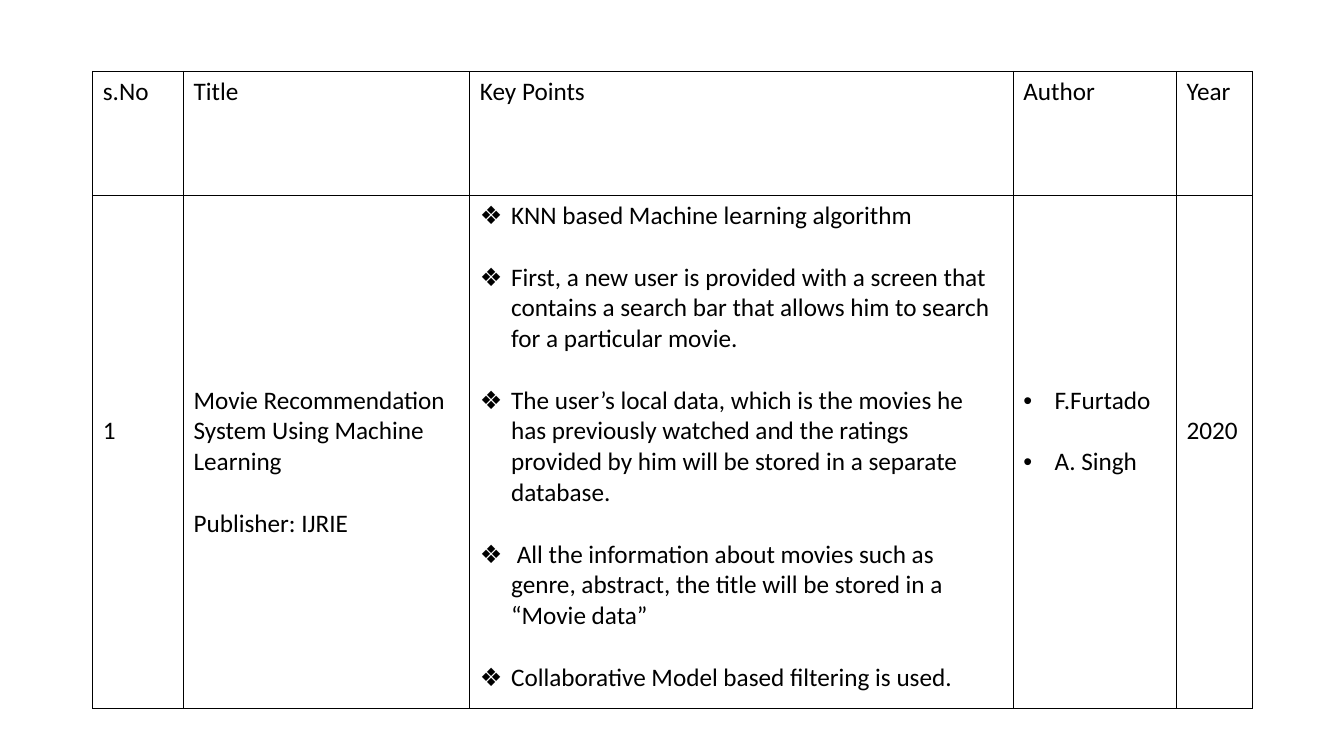
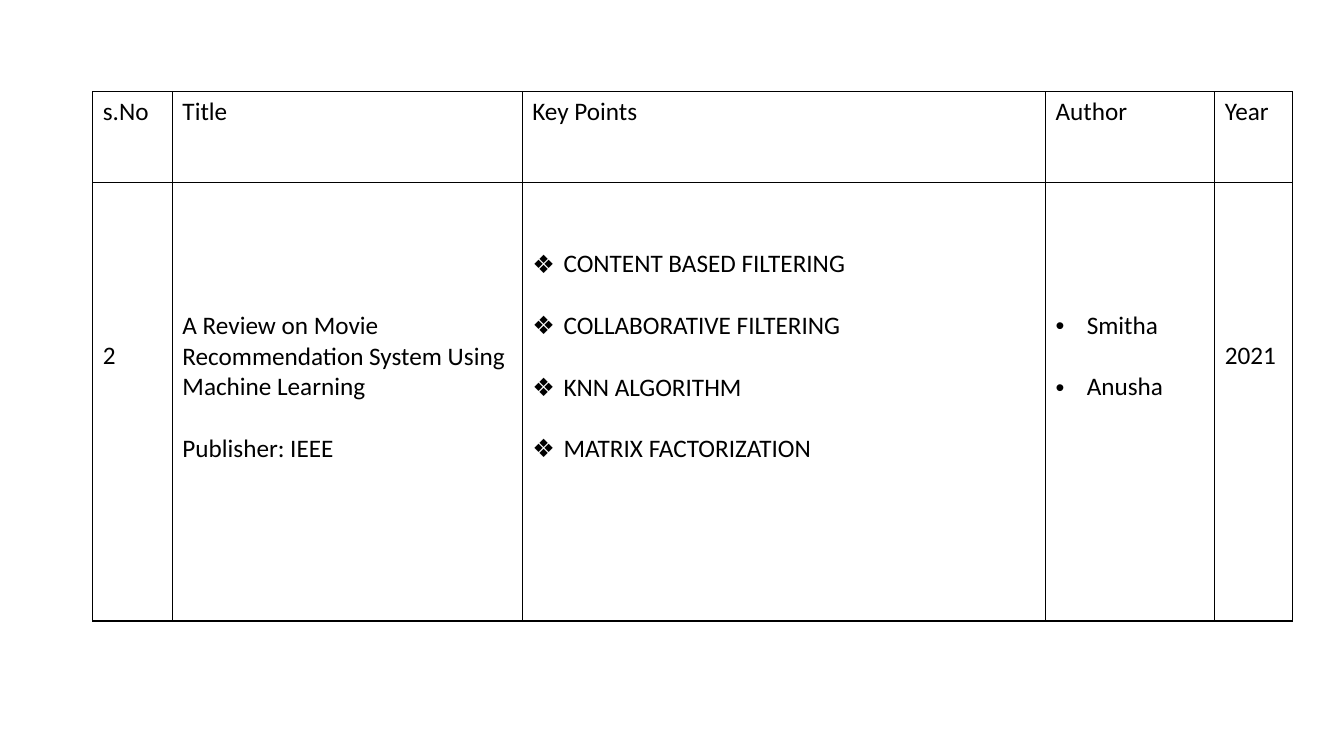
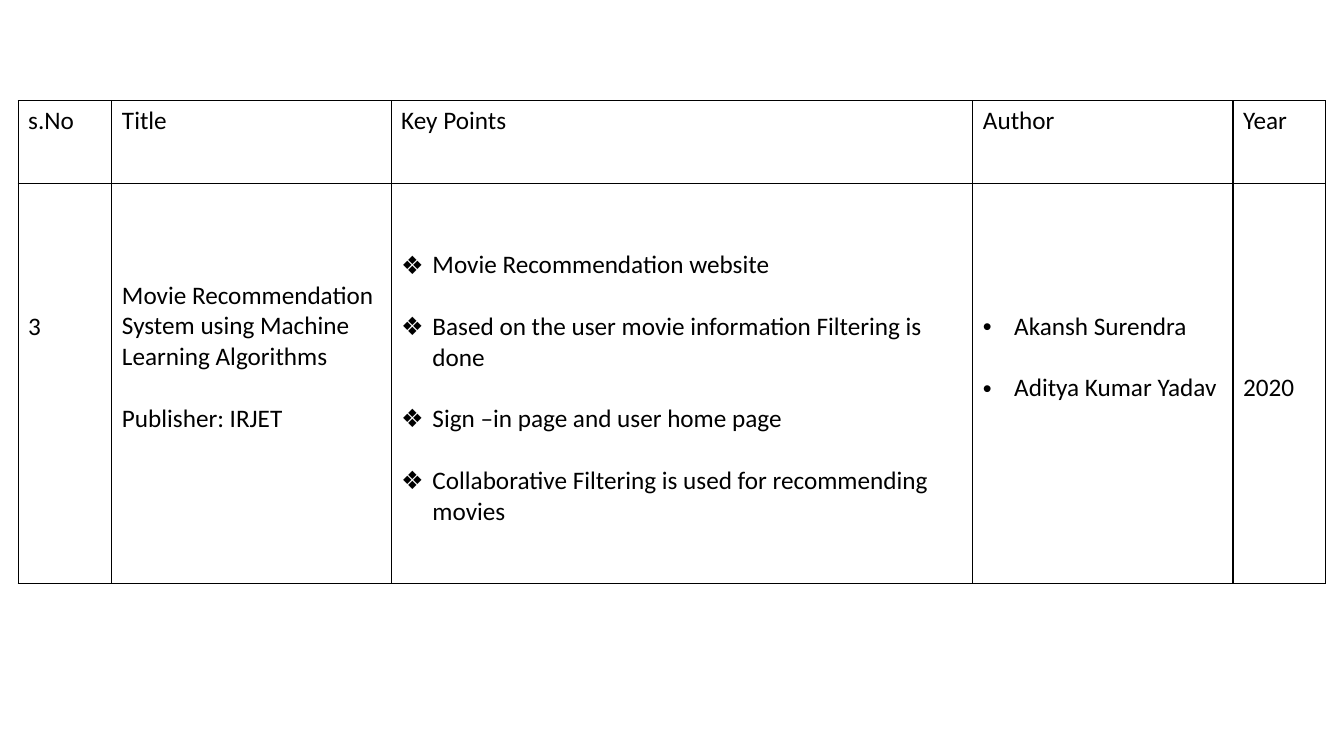
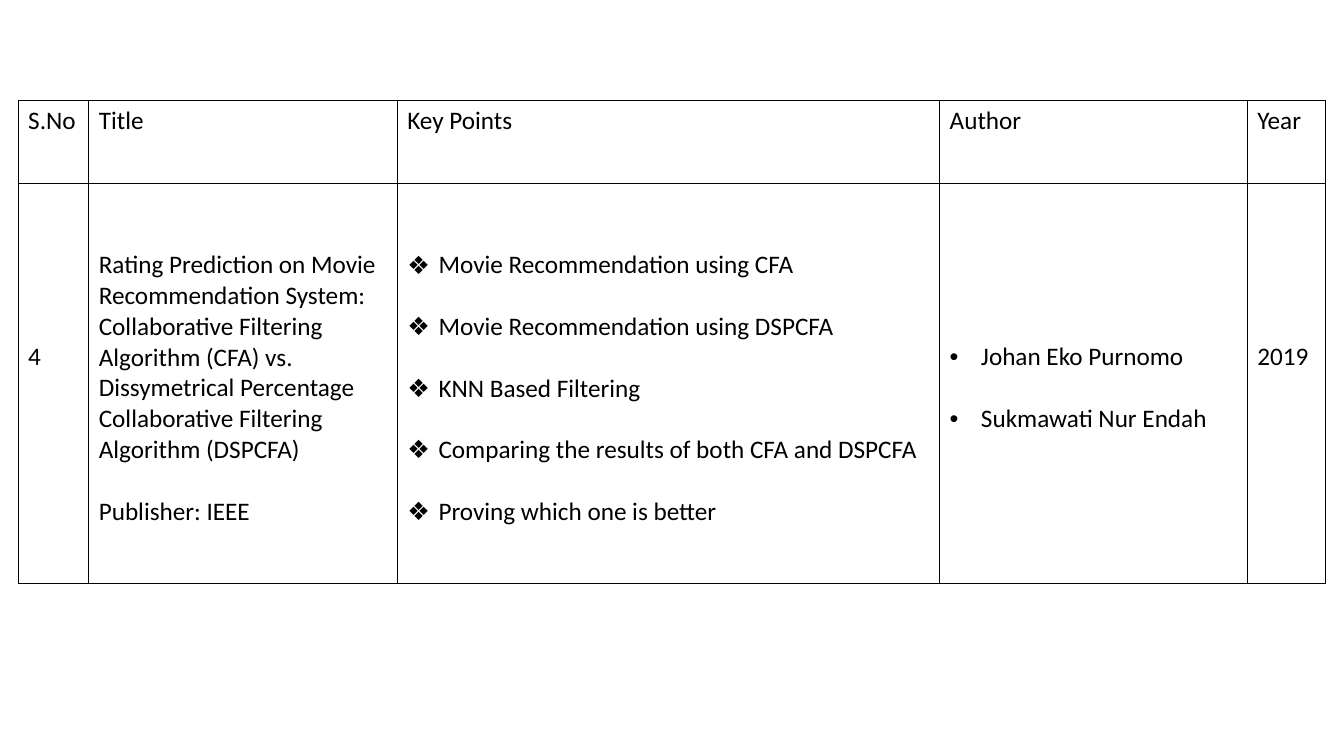
from lxml.etree import SubElement
from pptx import Presentation
from pptx.dml.color import RGBColor
from pptx.oxml.ns import qn
from pptx.util import Pt

PX = 9144
BLACK = RGBColor(0, 0, 0)
FONT = "Calibri"
SIZE = Pt(18)
LINE = Pt(22)
INDENT = 31
MARKS = ["", "", "❖", "•", ""]
HEADS = ["Title", "Key Points", "Author", "Year"]

PAPERS = [
    {
        "at": (92, 71), "cols": [90, 284, 539, 162, 75], "rows": [123, 509],
        "head": "s.No", "skip": [7, 6, 0, 6, 7],
        "cells": [
            ["1"],
            ["Movie Recommendation System Using Machine Learning",
             "Publisher: IJRIE"],
            ["KNN based Machine learning algorithm",
             "First, a new user is provided with a screen that contains a "
             "search bar that allows him to search for a particular movie.",
             "The user’s local data, which is the movies he has previously "
             "watched and the ratings provided by him will be stored in a "
             "separate database.",
             " All the information about movies such as genre, abstract, "
             "the title will be stored in a “Movie data”",
             "Collaborative Model based filtering is used."],
            ["F.Furtado", "A. Singh"],
            ["2020"],
        ],
    },
    {
        "at": (92, 91), "cols": [79, 347, 519, 168, 77], "rows": [90, 435],
        "head": "s.No", "skip": [5, 4, 2, 4, 5],
        "cells": [
            ["2"],
            ["A Review on Movie Recommendation System Using Machine Learning",
             "Publisher: IEEE"],
            ["CONTENT BASED FILTERING", "COLLABORATIVE FILTERING",
             "KNN ALGORITHM", "MATRIX FACTORIZATION"],
            ["Smitha", "Anusha"],
            ["2021"],
        ],
    },
    {
        "at": (18, 100), "cols": [93, 277, 577, 258, 92], "rows": [82, 397],
        "head": "s.No", "skip": [4, 3, 2, 4, 6],
        "cells": [
            ["3"],
            ["Movie Recommendation System using Machine Learning Algorithms",
             "Publisher: IRJET"],
            ["Movie Recommendation website",
             "Based on the user movie information Filtering is done",
             "Sign –in page and user home page",
             "Collaborative Filtering is used for recommending movies"],
            ["Akansh Surendra", "Aditya Kumar Yadav"],
            ["2020"],
        ],
    },
    {
        "at": (18, 100), "cols": [70, 306, 538, 305, 78], "rows": [82, 397],
        "head": "S.No", "skip": [5, 2, 2, 5, 5],
        "cells": [
            ["4"],
            ["Rating Prediction on Movie Recommendation System: Collaborative "
             "Filtering Algorithm (CFA) vs. Dissymetrical Percentage "
             "Collaborative Filtering Algorithm (DSPCFA)",
             "Publisher: IEEE"],
            ["Movie Recommendation using CFA",
             "Movie Recommendation using DSPCFA",
             "KNN Based Filtering",
             "Comparing the results of both CFA and DSPCFA",
             "Proving which one is better"],
            ["Johan Eko Purnomo", "Sukmawati Nur Endah"],
            ["2019"],
        ],
    },
]


def px(num):
    """Turn px into EMU."""
    return num * PX


def add_mark(para, mark):
    """Give a paragraph a bullet with a hanging indent."""
    props = para._p.get_or_add_pPr()
    props.set("marL", str(px(INDENT)))
    props.set("indent", str(-px(INDENT)))
    SubElement(props, qn("a:buFont"), typeface="Arial")
    SubElement(props, qn("a:buChar"), char=mark)


def add_edges(cell):
    """Draw a thin black line on each side of a cell."""
    props = cell._tc.get_or_add_tcPr()
    for side in ("lnL", "lnR", "lnT", "lnB"):
        line = SubElement(props, qn(f"a:{side}"), w=str(Pt(1)))
        fill = SubElement(line, qn("a:solidFill"))
        SubElement(fill, qn("a:srgbClr"), val=str(BLACK))


def fill_cell(cell, texts, mark="", skip=0):
    """Write texts a blank line apart, starting some lines down."""
    add_edges(cell)
    cell.fill.background()
    cell.margin_top = px(5 + skip * 61 // 2)
    frame = cell.text_frame
    for num, text in enumerate(texts):
        para = frame.add_paragraph() if num else frame.paragraphs[0]
        if mark:
            add_mark(para, mark)
        if num:
            para.space_before = LINE
        run = para.add_run()
        run.text = text
        run.font.name = FONT
        run.font.size = SIZE
        run.font.color.rgb = BLACK


def add_paper(deck, paper):
    """Add a slide with the table of one paper."""
    slide = deck.slides.add_slide(deck.slide_layouts[6])
    cols, rows = paper["cols"], paper["rows"]
    left, top = paper["at"]
    table = slide.shapes.add_table(
        len(rows), len(cols), px(left), px(top),
        px(sum(cols)), px(sum(rows))).table
    table.first_row = False
    table.horz_banding = False
    for col, wide in zip(table.columns, cols):
        col.width = px(wide)
    for row, high in zip(table.rows, rows):
        row.height = px(high)
    for num, head in enumerate([paper["head"], *HEADS]):
        fill_cell(table.cell(0, num), [head])
        fill_cell(table.cell(1, num), paper["cells"][num],
                  MARKS[num], paper["skip"][num])


def main():
    """Build the deck."""
    deck = Presentation()
    deck.slide_width, deck.slide_height = px(1333), px(750)
    for paper in PAPERS:
        add_paper(deck, paper)
    deck.save("out.pptx")


if __name__ == "__main__":
    main()
